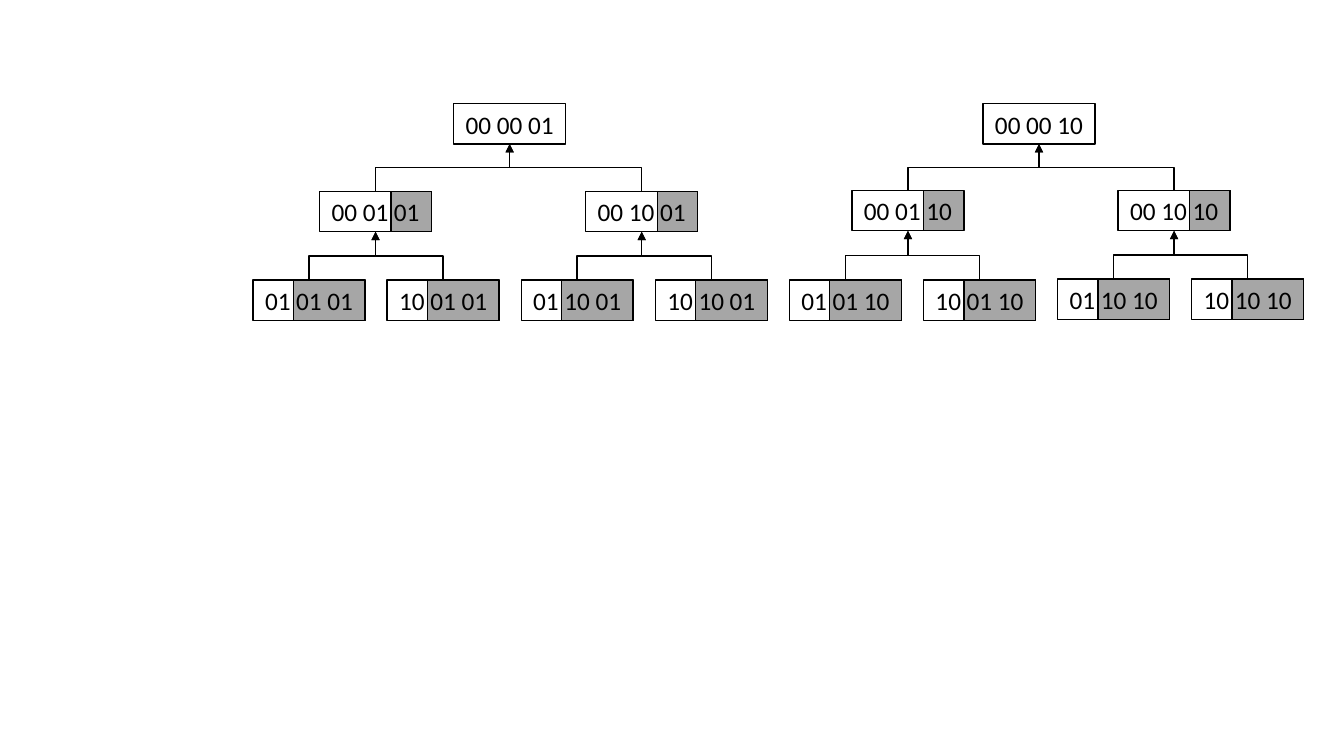
import itertools

import pptx
import pptx.dml.color
import pptx.enum.shapes
import pptx.enum.text
import pptx.oxml
import pptx.oxml.ns
import pptx.util

Inches = pptx.util.Inches
Pt = pptx.util.Pt
INK = {"line": "000000", "text": "000000", "box": "FFFFFF", "shade": "000000"}
WIDE, HIGH = 1.11, 0.4
BITS = ("01", "10")


class Deck:
    """Holds the style and the current slide."""

    font, size, weight = "Calibri", 18, 1

    def __init__(self):
        """Start a wide deck with one blank slide."""
        self.file = pptx.Presentation()
        self.file.slide_width = Inches(13.33)
        self.file.slide_height = Inches(7.5)
        self.slide = self.file.slides.add_slide(self.file.slide_layouts[6])

    def color(self, name):
        """Look up a colour by its role."""
        return pptx.dml.color.RGBColor.from_string(INK[name])

    def xml(self, parent, tag, **attrs):
        """Append a drawing element to a parent."""
        node = pptx.oxml.parse_xml(f"<a:{tag} {pptx.oxml.ns.nsdecls('a')}/>")
        for key, value in attrs.items():
            node.set(key, value)
        parent.append(node)

    def stroke(self, shape):
        """Give a shape the common outline."""
        shape.line.color.rgb = self.color("line")
        shape.line.width = Pt(self.weight)

    def rect(self, left, top, wide, fill):
        """Add an outlined, filled rectangle."""
        kind = pptx.enum.shapes.MSO_SHAPE.RECTANGLE
        shape = self.slide.shapes.add_shape(
            kind, Inches(left), Inches(top), Inches(wide), Inches(HIGH))
        shape.shadow.inherit = False
        shape.fill.solid()
        shape.fill.fore_color.rgb = self.color(fill)
        self.stroke(shape)
        return shape

    def node(self, left, top, label):
        """Add a tree node with a centred label."""
        frame = self.rect(left, top, WIDE, "box").text_frame
        frame.vertical_anchor = pptx.enum.text.MSO_ANCHOR.MIDDLE
        para = frame.paragraphs[0]
        para.alignment = pptx.enum.text.PP_ALIGN.CENTER
        run = para.add_run()
        run.text = label
        run.font.name = self.font
        run.font.size = Pt(self.size)
        run.font.color.rgb = self.color("text")

    def shade(self, left, top, wide):
        """Cover the right end of a node with a see-through grey."""
        shape = self.rect(left + WIDE - wide, top, wide, "shade")
        tint = shape.fill._xPr.find(".//" + pptx.oxml.ns.qn("a:srgbClr"))
        self.xml(tint, "alpha", val="35000")

    def link(self, child, parent):
        """Draw an elbow arrow from a child's top up to its parent's base."""
        x1, y1 = child[0] + WIDE / 2, child[1]
        x2, y2 = parent[0] + WIDE / 2, parent[1] + HIGH
        midx, midy = (x1 + x2) / 2, (y1 + y2) / 2
        # An elbow leaves sideways, so it is laid out flat and then turned.
        side = 1 if x2 > x1 else -1
        reach, half = side * (y1 - y2) / 2, abs(x2 - x1) / 2
        line = self.slide.shapes.add_connector(
            pptx.enum.shapes.MSO_CONNECTOR.ELBOW,
            Inches(midx + reach), Inches(midy + half),
            Inches(midx - reach), Inches(midy - half))
        props = line._element.spPr
        props.find(pptx.oxml.ns.qn("a:xfrm")).set(
            "rot", "5400000" if side > 0 else "16200000")
        self.stroke(line)
        self.xml(line.line._get_or_add_ln(), "tailEnd", type="triangle")
        self.xml(props, "effectLst")


deck = Deck()
roots = [(4.5, 1.03), (9.75, 1.03)]
forks = [(3.17 + 2.64 * i, 1.9 if i < 2 else 1.89) for i in range(4)]
leaves = [(2.51 + 1.33 * i, 2.78 if i < 6 else 2.77) for i in range(8)]
levels = [roots, forks, leaves]

for depth, row in enumerate(levels, 1):
    codes = itertools.product(BITS, repeat=depth)
    for (left, top), code in zip(row, codes):
        label = ["00"] * (3 - depth) + list(reversed(code))
        deck.node(left, top, " ".join(label))

for upper, lower in zip(levels, levels[1:]):
    for i, child in enumerate(lower):
        deck.link(child, upper[i // 2])

for row, wide in ((forks, 0.4), (leaves, 0.71)):
    for left, top in row:
        deck.shade(left, top, wide)

deck.file.save("out.pptx")
